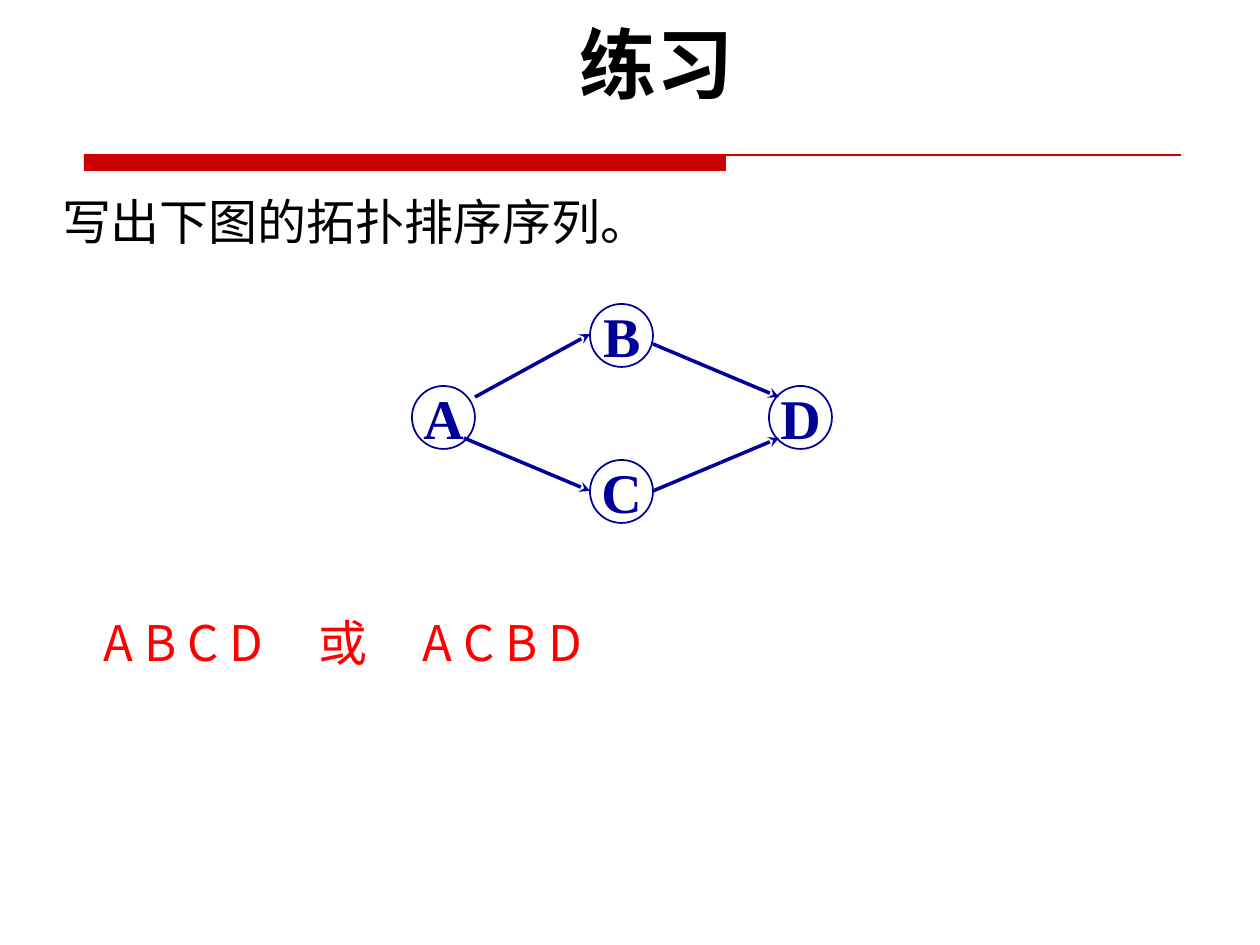
import pptx
import pptx.util
import pptx.dml.color
import pptx.enum.shapes
import pptx.enum.text
import pptx.oxml.ns
from lxml import etree

NAVY, RED, BRIGHT, BLACK = "000099", "CC0000", "FF0000", "000000"
SANS, SERIF = "Noto Sans CJK SC", "Times New Roman"
KIND = pptx.enum.shapes.MSO_SHAPE
ALIGN = pptx.enum.text.PP_ALIGN
ANCHOR = pptx.enum.text.MSO_ANCHOR


def px(n):
    return pptx.util.Emu(round(n * 914400 / 126))


def color(code):
    return pptx.dml.color.RGBColor.from_string(code)


def add(parent, tag, **attrs):
    return etree.SubElement(parent, pptx.oxml.ns.qn(tag), **attrs)


def place(shape, box):
    shape.left, shape.top, shape.width, shape.height = map(px, box)


def write(shape, text, font=SANS, size=28, hue=BLACK, bold=False,
          align=ALIGN.LEFT, anchor=ANCHOR.TOP, wrap=True, space=None,
          left=13, top=6):
    frame = shape.text_frame
    frame.word_wrap = wrap
    frame.auto_size = pptx.enum.text.MSO_AUTO_SIZE.NONE
    frame.vertical_anchor = anchor
    frame.margin_left, frame.margin_top = px(left), px(top)
    para = frame.paragraphs[0]
    para.alignment = align
    para.space_before = pptx.util.Pt(0)
    if space:
        para.line_spacing = space
    run = para.add_run()
    run.text = text
    run.font.name, run.font.size = font, pptx.util.Pt(size)
    run.font.bold = bold
    run.font.color.rgb = color(hue)
    if font == SANS:
        add(run._r.get_or_add_rPr(), "a:ea", typeface=font)
    return para


def draw(slide, kind, box, fill=None, line=None):
    shape = slide.shapes.add_shape(kind, *map(px, box))
    shape.shadow.inherit = False
    if fill:
        shape.fill.solid()
        shape.fill.fore_color.rgb = color(fill)
    else:
        shape.fill.background()
    if line:
        shape.line.color.rgb = color(line)
        shape.line.width = pptx.util.Pt(1)
    else:
        shape.line.fill.background()
    return shape


def link(slide, ends, hue, width, arrow=False):
    line = slide.shapes.add_connector(
        pptx.enum.shapes.MSO_CONNECTOR.STRAIGHT, *map(px, ends))
    line.line.color.rgb = color(hue)
    line.line.width = pptx.util.Pt(width)
    if arrow:
        add(line.line._get_or_add_ln(), "a:tailEnd", type="stealth")
    add(line._element.spPr, "a:effectLst")


def header(slide, box):
    x, y, wide, high = box
    # Title
    place(slide.shapes.title, (x, y, wide, high))
    write(slide.shapes.title, "练习", font="Lato", size=44, bold=True,
          align=ALIGN.CENTER, space=0.9)
    # Red bar and thin rule
    rule = y + 134
    draw(slide, KIND.RECTANGLE, (x, rule, 642, 16), fill=RED)
    link(slide, (x, rule, x + 1097, rule), RED, 0.75)


def question(slide, box):
    body = slide.placeholders[1]
    place(body, box)
    para = write(body, "写出下图的拓扑排序序列。", anchor=ANCHOR.BOTTOM,
                 space=1.5, left=23)
    props = para._p.get_or_add_pPr()
    props.set("marL", "0")
    props.set("indent", "0")
    add(props, "a:buNone")


def graph(slide, box):
    x, y, size = box
    # Nodes
    spots = {"A": (0, 82), "B": (178, 0), "C": (178, 156), "D": (357, 82)}
    for name, (dx, dy) in spots.items():
        node = draw(slide, KIND.OVAL, (x + dx, y + dy, size, size), line=NAVY)
        write(node, name, font=SERIF, size=32, hue=NAVY, bold=True,
              align=ALIGN.CENTER, anchor=ANCHOR.MIDDLE, wrap=False)
    # Directed edges
    edges = [(63, 93, 178, 30), (52, 134, 178, 187),
             (241, 40, 367, 93), (241, 187, 367, 134)]
    for x1, y1, x2, y2 in edges:
        link(slide, (x + x1, y + y1, x + x2, y + y2), NAVY, 2, arrow=True)


def answer(slide, box):
    area = slide.shapes.add_textbox(*map(px, box))
    para = write(area, "A B C D\t或\tA C B D", hue=BRIGHT, left=65, top=18)
    # Tab stops set the gaps around the middle word
    tabs = add(para._p.get_or_add_pPr(), "a:tabLst")
    for stop in (215, 319):
        add(tabs, "a:tab", pos=str(px(stop)), algn="l")


def main():
    deck = pptx.Presentation()
    deck.slide_width, deck.slide_height = px(1260), px(945)
    slide = deck.slides.add_slide(deck.slide_layouts[1])
    header(slide, (84, 21, 1144, 105))
    question(slide, (39, 178, 1131, 79))
    graph(slide, (412, 304, 63))
    answer(slide, (39, 595, 1134, 97))
    deck.save("out.pptx")


if __name__ == "__main__":
    main()
